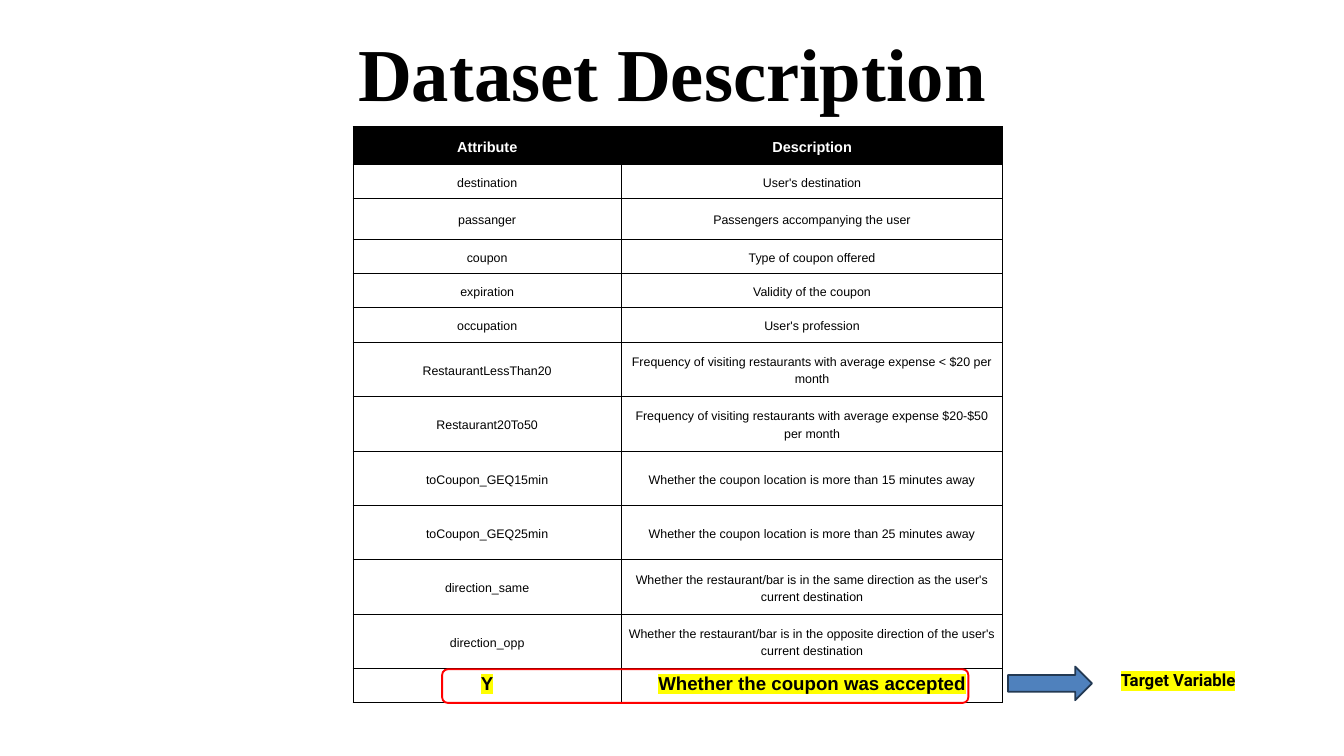
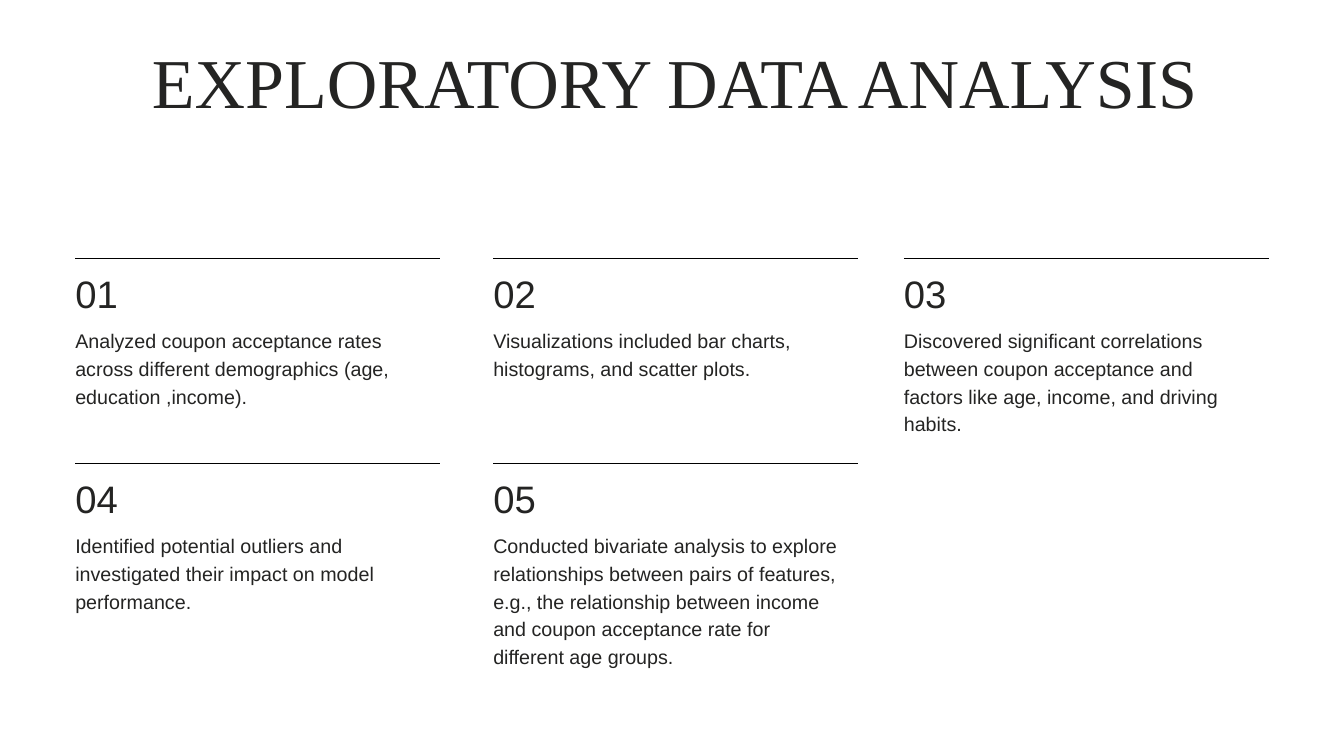
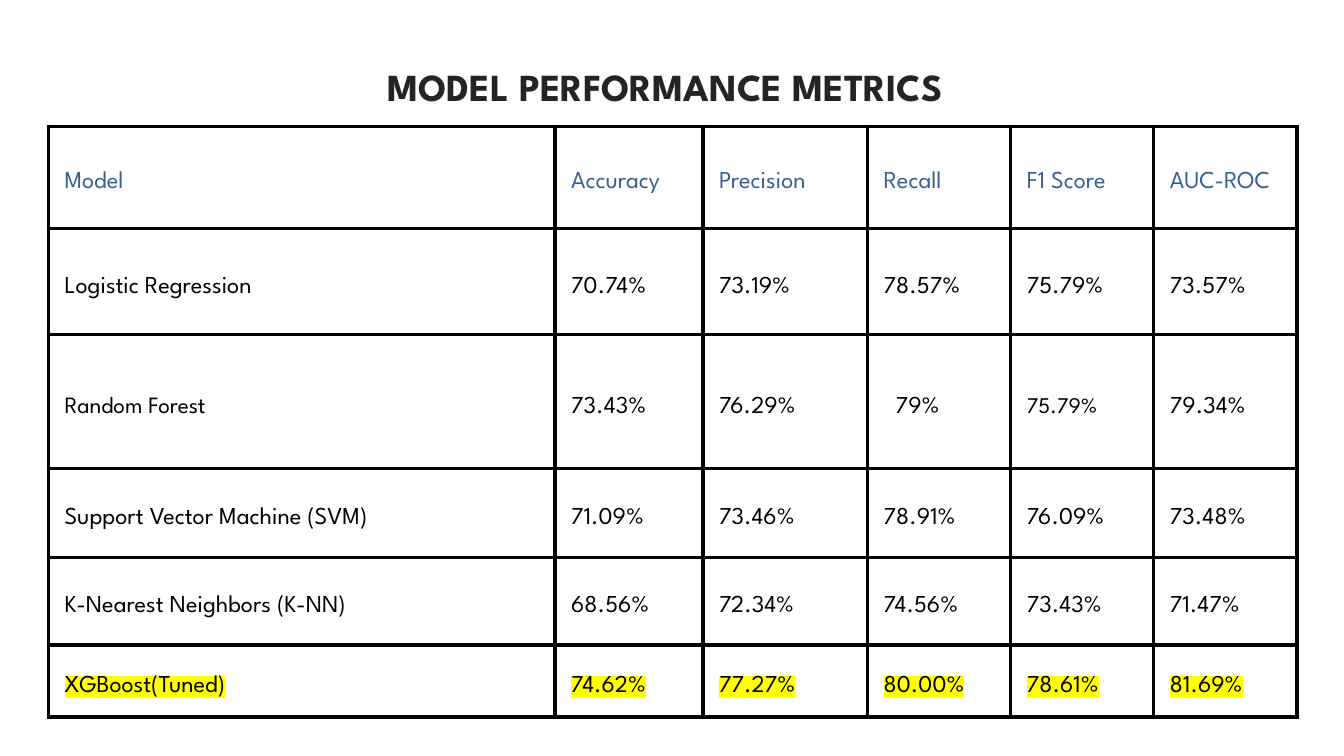
from dataclasses import dataclass, replace
from itertools import product

from lxml.etree import SubElement
from pptx import Presentation
from pptx.dml.color import RGBColor
from pptx.enum.shapes import MSO_CONNECTOR, MSO_SHAPE
from pptx.enum.text import MSO_ANCHOR, MSO_AUTO_SIZE, PP_ALIGN
from pptx.oxml import parse_xml
from pptx.oxml.ns import nsdecls, qn
from pptx.util import Inches, Pt


@dataclass(frozen=True)
class TextStyle:
    """Describe how one kind of text looks."""

    size: float
    font: str
    color: str
    leading: float = 0
    bold: bool = False
    align: PP_ALIGN = PP_ALIGN.LEFT
    highlight: str = ""


@dataclass(frozen=True)
class Theme:
    """Hold the colours and text styles of the deck."""

    black: str = "000000"
    ink: str = "242423"
    red: str = "FF0000"
    arrow: str = "4F81BD"
    arrow_edge: str = "233953"
    yellow: str = "FFFF00"
    dataset_title: TextStyle = TextStyle(80, "Times New Roman", black, 104, True, PP_ALIGN.CENTER)
    analysis_title: TextStyle = TextStyle(75, "Times New Roman", ink, 78.4, False, PP_ALIGN.CENTER)
    metrics_title: TextStyle = TextStyle(41, "League Spartan", ink, 53.3, True, PP_ALIGN.CENTER)
    attribute_head: TextStyle = TextStyle(15.5, "Arial", "FFFFFF", 21.7, True, PP_ALIGN.CENTER)
    attribute: TextStyle = TextStyle(13.3, "Arial", black, 18.6, False, PP_ALIGN.CENTER)
    target_row: TextStyle = TextStyle(20, "Arial", black, 18.6, True, PP_ALIGN.CENTER, yellow)
    target_label: TextStyle = TextStyle(18, "Roboto", black, bold=True, highlight=yellow)
    number: TextStyle = TextStyle(41, "Arial", ink, 53.3)
    finding: TextStyle = TextStyle(21.1, "Arial", ink, 29.6)
    metric_head: TextStyle = TextStyle(26, "League Spartan", "376092", 36.4)
    metric: TextStyle = TextStyle(26, "League Spartan", black, 36.4)
    best_metric: TextStyle = TextStyle(26, "League Spartan", black, 36.4, highlight=yellow)


THEME = Theme()

ATTRIBUTES = [
    ("Attribute", "Description"),
    ("destination", "User's destination"),
    ("passanger", "Passengers accompanying the user"),
    ("coupon", "Type of coupon offered"),
    ("expiration", "Validity of the coupon"),
    ("occupation", "User's profession"),
    ("RestaurantLessThan20", "Frequency of visiting restaurants with average expense < $20 per month"),
    ("Restaurant20To50", "Frequency of visiting restaurants with average expense $20-$50 per month"),
    ("toCoupon_GEQ15min", "Whether the coupon location is more than 15 minutes away"),
    ("toCoupon_GEQ25min", "Whether the coupon location is more than 25 minutes away"),
    ("direction_same", "Whether the restaurant/bar is in the same direction as the user's current destination"),
    ("direction_opp", "Whether the restaurant/bar is in the opposite direction of the user's current destination"),
    ("Y", "Whether the coupon was accepted"),
]

FINDINGS = [
    ("Analyzed coupon acceptance rates across different demographics (age, education ,income).", 3),
    ("Visualizations included bar charts, histograms, and scatter plots.", 2),
    ("Discovered significant correlations between coupon acceptance and factors like age, income, "
     "and driving habits.", 4),
    ("Identified potential outliers and investigated their impact on model performance.", 3),
    ("Conducted bivariate analysis to explore relationships between pairs of features, e.g., the "
     "relationship between income and coupon acceptance rate for different age groups.", 5),
]

METRICS = [
    ("Model", "Accuracy", "Precision", "Recall", "F1 Score", "AUC-ROC"),
    ("Logistic Regression", "70.74%", "73.19%", "78.57%", "75.79%", "73.57%"),
    ("Random Forest", "73.43%", "76.29%", "79%", "75.79%", "79.34%"),
    ("Support Vector Machine (SVM)", "71.09%", "73.46%", "78.91%", "76.09%", "73.48%"),
    ("K-Nearest Neighbors (K-NN)", "68.56%", "72.34%", "74.56%", "73.43%", "71.47%"),
    ("XGBoost(Tuned)", "74.62%", "77.27%", "80.00%", "78.61%", "81.69%"),
]


def rgb(color):
    """Turn a hex string into a colour."""
    return RGBColor.from_string(color)


def write(frame, text, style):
    """Put one styled paragraph into a text frame."""
    frame.text = text
    frame.word_wrap = True
    para = frame.paragraphs[0]
    para.alignment = style.align
    if style.leading:
        para.line_spacing = Pt(style.leading)
    span = para.runs[0]
    span.font.size = Pt(style.size)
    span.font.name = style.font
    span.font.bold = style.bold
    span.font.color.rgb = rgb(style.color)
    if style.highlight:
        mark = parse_xml(f'<a:highlight {nsdecls("a")}><a:srgbClr val="{style.highlight}"/></a:highlight>')
        span.font._element.find(qn("a:solidFill")).addnext(mark)


def set_margins(target, margin):
    """Give a text frame or cell the same margin on every side."""
    target.margin_left = target.margin_right = Inches(margin)
    target.margin_top = target.margin_bottom = Inches(margin)


def add_titled_slide(deck, text, style, place):
    """Add a title-only slide with its title moved into place."""
    slide = deck.slides.add_slide(deck.slide_layouts[5])
    title = slide.shapes.title
    title.left, title.top, title.width, title.height = map(Inches, place)
    frame = title.text_frame
    write(frame, text, style)
    set_margins(frame, 0)
    frame.vertical_anchor = MSO_ANCHOR.TOP
    frame.auto_size = MSO_AUTO_SIZE.SHAPE_TO_FIT_TEXT
    return slide


def add_text(slide, text, style, place, margin=None):
    """Add a text box that grows with its text."""
    box = slide.shapes.add_textbox(*map(Inches, place))
    write(box.text_frame, text, style)
    if margin is not None:
        set_margins(box.text_frame, margin)
    box.text_frame.auto_size = MSO_AUTO_SIZE.SHAPE_TO_FIT_TEXT


def add_preset(slide, kind, place, line, fill=None):
    """Add a preset shape with a two-point outline."""
    shape = slide.shapes.add_shape(kind, *map(Inches, place))
    shape.shadow.inherit = False
    shape.line.color.rgb = rgb(line)
    shape.line.width = Pt(2)
    if fill:
        shape.fill.solid()
        shape.fill.fore_color.rgb = rgb(fill)
    else:
        shape.fill.background()


def add_rule(slide, left, top, width):
    """Add a thin horizontal line."""
    ends = map(Inches, (left, top, left + width, top))
    rule = slide.shapes.add_connector(MSO_CONNECTOR.STRAIGHT, *ends)
    rule.line.color.rgb = rgb(THEME.black)
    rule.line.width = Pt(0.75)
    SubElement(rule._element.spPr, qn("a:effectLst"))


def set_borders(cell, width):
    """Draw black borders on all four sides of a cell."""
    for side in "LRTB":
        cell._tc.get_or_add_tcPr().append(parse_xml(
            f'<a:ln{side} {nsdecls("a")} w="{int(Pt(width))}"><a:solidFill>'
            f'<a:srgbClr val="{THEME.black}"/></a:solidFill></a:ln{side}>'))


def add_grid(slide, corner, widths, heights, rows, styles, margin, border):
    """Add a bordered table whose first, middle and last rows have their own styles."""
    place = (*corner, sum(widths), sum(heights))
    table = slide.shapes.add_table(len(rows), len(widths), *map(Inches, place)).table
    table.first_row = table.horz_banding = False
    for column, width in zip(table.columns, widths):
        column.width = Inches(width)
    for row, height in zip(table.rows, heights):
        row.height = Inches(height)
    head, body, last = styles
    row_styles = [head] + [body] * (len(rows) - 2) + [last]
    for r, c in product(range(len(rows)), range(len(widths))):
        cell = table.cell(r, c)
        write(cell.text_frame, rows[r][c], row_styles[r])
        set_margins(cell, margin)
        cell.vertical_anchor = MSO_ANCHOR.MIDDLE
        set_borders(cell, border)
        cell.fill.background()
    return table


def build_dataset(deck):
    """Build the table of attributes with the target variable marked."""
    slide = add_titled_slide(deck, "Dataset Description", THEME.dataset_title, (3.1, 0.29, 13.81, 1.42))
    heights = [0.56, 0.51, 0.61] + [0.51] * 3 + [0.81] * 6 + [0.51]
    styles = (THEME.attribute_head, THEME.attribute, THEME.target_row)
    table = add_grid(slide, (5.25, 1.88), (4, 5.67), heights, ATTRIBUTES, styles, 0.1, 0.68)
    for cell in table.rows[0].cells:
        cell.fill.solid()
        cell.fill.fore_color.rgb = rgb(THEME.black)
    add_preset(slide, MSO_SHAPE.ROUNDED_RECTANGLE, (6.58, 9.96, 7.83, 0.5), THEME.red)
    add_preset(slide, MSO_SHAPE.RIGHT_ARROW, (15, 9.92, 1.25, 0.5), THEME.arrow_edge, THEME.arrow)
    add_text(slide, "Target Variable", THEME.target_label, (16.58, 9.92, 2, 0.4))


def build_analysis(deck):
    """Build the grid of numbered findings."""
    slide = add_titled_slide(deck, "EXPLORATORY DATA ANALYSIS", THEME.analysis_title, (1.86, 0.74, 16.36, 1.09))
    places = product((3.85, 6.9), (1.12, 7.34, 13.45))
    for number, ((text, lines), (top, left)) in enumerate(zip(FINDINGS, places), 1):
        add_rule(slide, left, top, 5.43)
        add_text(slide, f"{number:02}", THEME.number, (left, top + 0.12, 5.18, 0.73), 0)
        add_text(slide, text, THEME.finding, (left, top + 0.99, 5.18, 0.4 * lines), 0)


def build_metrics(deck):
    """Build the table comparing the models."""
    slide = add_titled_slide(deck, "MODEL PERFORMANCE METRICS", THEME.metrics_title, (4.35, 0.88, 11.1, 0.73))
    widths = (7.54, 2.2, 2.45, 2.13, 2.13, 2.13)
    heights = (1.52, 1.58, 1.99, 1.33, 1.3, 1.07)
    styles = (THEME.metric_head, THEME.metric, THEME.best_metric)
    table = add_grid(slide, (0.72, 1.88), widths, heights, METRICS, styles, 0.24, 3.96)
    forest = METRICS[2]
    for column, size in ((0, 25), (4, 24)):
        write(table.cell(2, column).text_frame, forest[column], replace(THEME.metric, size=size))
    table.cell(2, 3).margin_left = Inches(0.42)


def main():
    """Build and save the deck."""
    deck = Presentation()
    deck.slide_width = Inches(20)
    deck.slide_height = Inches(11.25)
    build_dataset(deck)
    build_analysis(deck)
    build_metrics(deck)
    deck.save("out.pptx")


if __name__ == "__main__":
    main()
